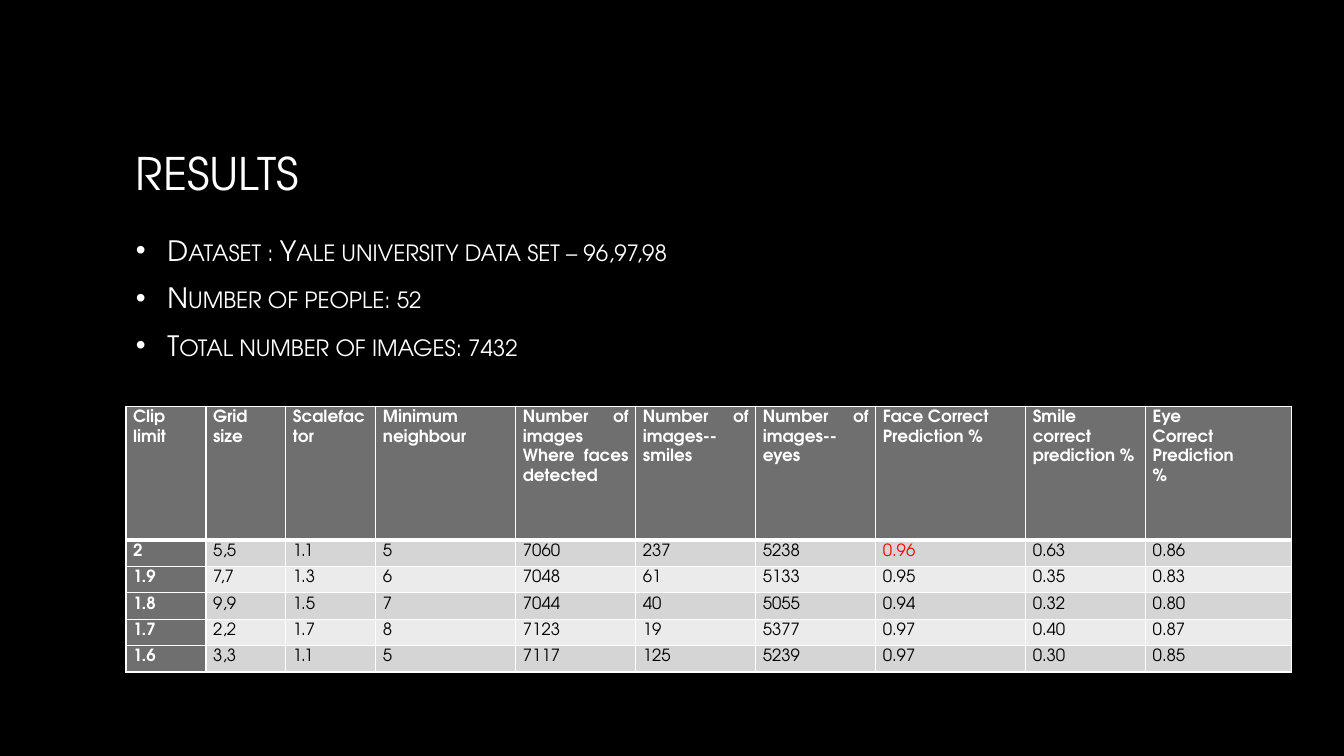
from lxml import etree
from pptx import Presentation
from pptx import util as u
from pptx.dml.color import RGBColor
from pptx.enum import text
from pptx.oxml.ns import qn

Pt = u.Pt
FONT = "TeX Gyre Adventor"
COLORS = {"ground": "000000", "light": "FFFFFF", "dark": "000000",
          "header": "6F6F6F", "odd": "D5D5D5", "even": "EBEBEB", "accent": "FF0000"}
FACTS = ["Dataset : Yale university data set – 96,97,98",
         "Number of people: 52",
         "Total number of images: 7432"]
HEADINGS = [["Clip limit"], ["Grid", "size"], ["Scalefactor"], ["Minimum neighbour"],
            ["Number of images", "Where faces detected"], ["Number of images--smiles"],
            ["Number of images-- eyes"], ["Face Correct", "Prediction %"],
            ["Smile correct prediction %"], ["Eye", "Correct", "Prediction", "%"]]
TRIALS = [["2", "5,5", "1.1", "5", "7060", "237", "5238", "0.96", "0.63", "0.86"],
          ["1.9", "7,7", "1.3", "6", "7048", "61", "5133", "0.95", "0.35", "0.83"],
          ["1.8", "9,9", "1.5", "7", "7044", "40", "5055", "0.94", "0.32", "0.80"],
          ["1.7", "2,2", "1.7", "8", "7123", "19", "5377", "0.97", "0.40", "0.87"],
          ["1.6", "3,3", "1.1", "5", "7117", "125", "5239", "0.97", "0.30", "0.85"]]
COLUMN_WIDTHS = [57.1, 57.1, 64.3, 100, 85.7, 85.7, 85.7, 107.1, 85.7, 104.3]
HEADER_HEIGHT, TRIAL_HEIGHT = 95.4, 18.9
HIGHLIGHT = (1, 7)


def color(name):
    """Return the named colour."""
    return RGBColor.from_string(COLORS[name])


def add_run(paragraph, words, size, ink, bold=False):
    """Add one styled run to a paragraph."""
    run = paragraph.add_run()
    run.text = words
    run.font.name, run.font.size, run.font.bold = FONT, Pt(size), bold
    run.font.color.rgb = color(ink)
    return run


def add_frame(slide, box, anchor):
    """Add a wrapping text box and return its text frame."""
    frame = slide.shapes.add_textbox(*map(Pt, box)).text_frame
    frame.word_wrap = True
    frame.vertical_anchor = anchor
    return frame


def paragraph_at(frame, index):
    """Return the first paragraph or a new one after it."""
    return frame.add_paragraph() if index else frame.paragraphs[0]


def add_title(slide, box):
    """Place the slide title."""
    frame = add_frame(slide, box, text.MSO_ANCHOR.MIDDLE)
    add_run(frame.paragraphs[0], "RESULTS", 32, "light")


def add_facts(slide, box):
    """Place the bulleted dataset facts in small caps."""
    frame = add_frame(slide, box, text.MSO_ANCHOR.TOP)
    frame.margin_top = Pt(13)
    for index, fact in enumerate(FACTS):
        paragraph = paragraph_at(frame, index)
        props = paragraph._p.get_or_add_pPr()
        props.set("marL", str(Pt(22.5)))
        props.set("indent", str(-Pt(22.5)))
        bullet_color = etree.SubElement(props, qn("a:buClr"))
        etree.SubElement(bullet_color, qn("a:srgbClr"), val=COLORS["light"])
        etree.SubElement(props, qn("a:buFont"), typeface="Arial")
        etree.SubElement(props, qn("a:buChar"), char="•")
        paragraph.line_spacing = Pt(24)
        paragraph.space_after = Pt(6)
        if index:
            paragraph.space_before = Pt(4)
        run = add_run(paragraph, fact, 20, "light")
        run._r.get_or_add_rPr().set("cap", "small")


def set_borders(cell, row):
    """Draw white cell borders, heavier below the header row."""
    props = cell._tc.get_or_add_tcPr()
    weights = {"lnL": 1, "lnR": 1, "lnT": 3 if row == 1 else 1, "lnB": 1 if row else 3}
    for order, (side, weight) in enumerate(weights.items()):
        line = etree.Element(qn(f"a:{side}"), w=str(Pt(weight)))
        fill = etree.SubElement(line, qn("a:solidFill"))
        etree.SubElement(fill, qn("a:srgbClr"), val=COLORS["light"])
        props.insert(order, line)


def fill_cell(cell, row, column, lines):
    """Style one table cell and write its lines."""
    heading = row == 0 or column == 0
    cell.margin_left = cell.margin_right = Pt(5.1)
    cell.margin_top = cell.margin_bottom = Pt(0)
    cell.fill.solid()
    cell.fill.fore_color.rgb = color("header" if heading else "odd" if row % 2 else "even")
    set_borders(cell, row)
    ink = "accent" if (row, column) == HIGHLIGHT else "light" if heading else "dark"
    for index, words in enumerate(lines):
        paragraph = paragraph_at(cell.text_frame, index)
        paragraph.alignment = text.PP_ALIGN.JUSTIFY
        paragraph.line_spacing = Pt(14)
        add_run(paragraph, words, 12, ink, heading)


def add_results(slide, box):
    """Place the table of trials."""
    rows = [HEADINGS] + [[[value] for value in trial] for trial in TRIALS]
    results = slide.shapes.add_table(len(rows), len(HEADINGS), *map(Pt, box)).table
    for column, width in zip(results.columns, COLUMN_WIDTHS):
        column.width = Pt(width)
    for r, cells in enumerate(rows):
        results.rows[r].height = Pt(TRIAL_HEIGHT if r else HEADER_HEIGHT)
        for c, lines in enumerate(cells):
            fill_cell(results.cell(r, c), r, c, lines)


def main():
    """Build and save the results slide."""
    deck = Presentation()
    deck.slide_width, deck.slide_height = Pt(960), Pt(540)
    slide = deck.slides.add_slide(deck.slide_layouts[6])
    slide.background.fill.solid()
    slide.background.fill.fore_color.rgb = color("ground")
    add_title(slide, (90, 48.2, 780, 149.8))
    add_facts(slide, (90, 153.4, 780, 145.4))
    add_results(slide, (90, 290.2, sum(COLUMN_WIDTHS),
                        HEADER_HEIGHT + TRIAL_HEIGHT * len(TRIALS)))
    deck.save("out.pptx")


if __name__ == "__main__":
    main()
